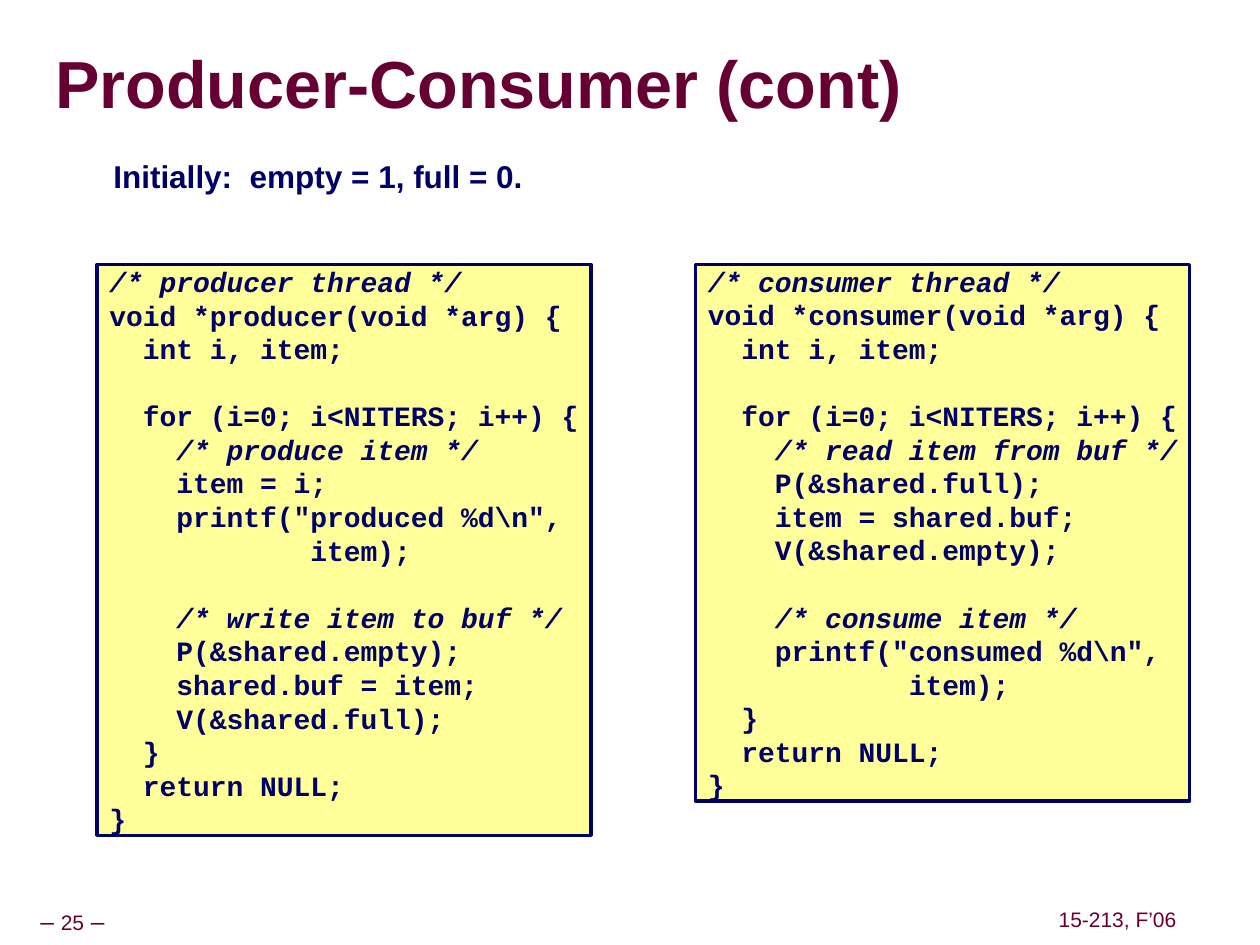
from lxml import etree
from pptx import Presentation
from pptx import util as u
from pptx.dml.color import RGBColor as Rgb
from pptx.enum import shapes, text
from pptx.oxml.ns import qn

INK = {"wine": "660033", "navy": "000066", "cream": "FFFF99"}
SANS, MONO = "Arial", "Courier New"

MAKER = r"""/* producer thread */
void *producer(void *arg) {
  int i, item;

  for (i=0; i<NITERS; i++) {
    /* produce item */
    item = i;
    printf("produced %d\n",
            item);

    /* write item to buf */
    P(&shared.empty);
    shared.buf = item;
    V(&shared.full);
  }
  return NULL;
}"""

TAKER = r"""/* consumer thread */
void *consumer(void *arg) {
  int i, item;

  for (i=0; i<NITERS; i++) {
    /* read item from buf */
    P(&shared.full);
    item = shared.buf;
    V(&shared.empty);

    /* consume item */
    printf("consumed %d\n",
            item);
  }
  return NULL;
}"""


def place(box):
    return [u.Inches(n) for n in box]


def style(run, ink, **form):
    for key, value in form.items():
        setattr(run.font, key, value)
    run.font.color.rgb = Rgb.from_string(INK[ink])


def frame(shape, side=0, edge=0, wrap=False):
    """Set the insets and the middle anchor of a shape's text."""
    body = shape.text_frame
    form = {
        "margin_left": u.Inches(side), "margin_right": u.Inches(side),
        "margin_top": u.Inches(edge), "margin_bottom": u.Inches(edge),
        "vertical_anchor": text.MSO_ANCHOR.MIDDLE, "word_wrap": wrap,
    }
    for key, value in form.items():
        setattr(body, key, value)
    return body


def label(slide, box, runs, ink, bold=False, align="CENTER", lead=1.0, **inset):
    """Write one line of text from (words, size) pairs."""
    line = frame(slide.shapes.add_textbox(*place(box)), **inset).paragraphs[0]
    line.alignment = text.PP_ALIGN[align]
    line.line_spacing = lead
    for words, size in runs:
        run = line.add_run()
        run.text = words
        style(run, ink, name=SANS, size=u.Pt(size), bold=bold)


def head(slide, box):
    label(slide, box, [("Producer-Consumer (cont)", 38)], "wine", bold=True,
          align="LEFT", lead=0.87, wrap=True)


def start(slide, box):
    label(slide, box, [("Initially:  empty = 1, full = 0.", 18)], "navy",
          bold=True, side=0.1)


def foot(slide, box):
    left, top, width, height = box
    form = {"lead": 0.9, "side": 0.05, "edge": 0.05}
    label(slide, (left, top, 1.19, height),
          [("– ", 14), ("25", 12), (" –", 14)], "wine", **form)
    label(slide, (left + width - 1.04, top, 1.04, 0.28),
          [("15-213, F’06", 12)], "wine", **form)


def gap(line, size):
    """Give an empty code line the height of a full one."""
    end = etree.SubElement(line._p, qn("a:endParaRPr"), sz=str(size * 100))
    etree.SubElement(end, qn("a:latin"), typeface=MONO)


def code(slide, box, source, size=16):
    panel = slide.shapes.add_shape(shapes.MSO_SHAPE.RECTANGLE, *place(box))
    panel.shadow.inherit = False
    panel.fill.solid()
    panel.fill.fore_color.rgb = Rgb.from_string(INK["cream"])
    panel.line.color.rgb = Rgb.from_string(INK["navy"])
    panel.line.width = u.Pt(2)
    body = frame(panel, side=0.1)
    for i, words in enumerate(source.split("\n")):
        line = body.add_paragraph() if i else body.paragraphs[0]
        line.alignment = text.PP_ALIGN.LEFT
        if not words:
            gap(line, size)
            continue
        run = line.add_run()
        run.text = words
        style(run, "navy", name=MONO, size=u.Pt(size), bold=True,
              italic=words.lstrip().startswith("/*"))


def main():
    deck = Presentation()
    deck.slide_width, deck.slide_height = u.Inches(10), u.Inches(7.5)
    slide = deck.slides.add_slide(deck.slide_layouts[6])
    foot(slide, (-0.02, 7.17, 9.41, 0.31))
    head(slide, (0.44, 0.27, 9.53, 0.85))
    code(slide, (0.77, 2.1, 3.92, 4.53), MAKER)
    code(slide, (5.52, 2.1, 3.92, 4.26), TAKER)
    start(slide, (0.8, 1.25, 3.45, 0.3))
    deck.save("out.pptx")


if __name__ == "__main__":
    main()
